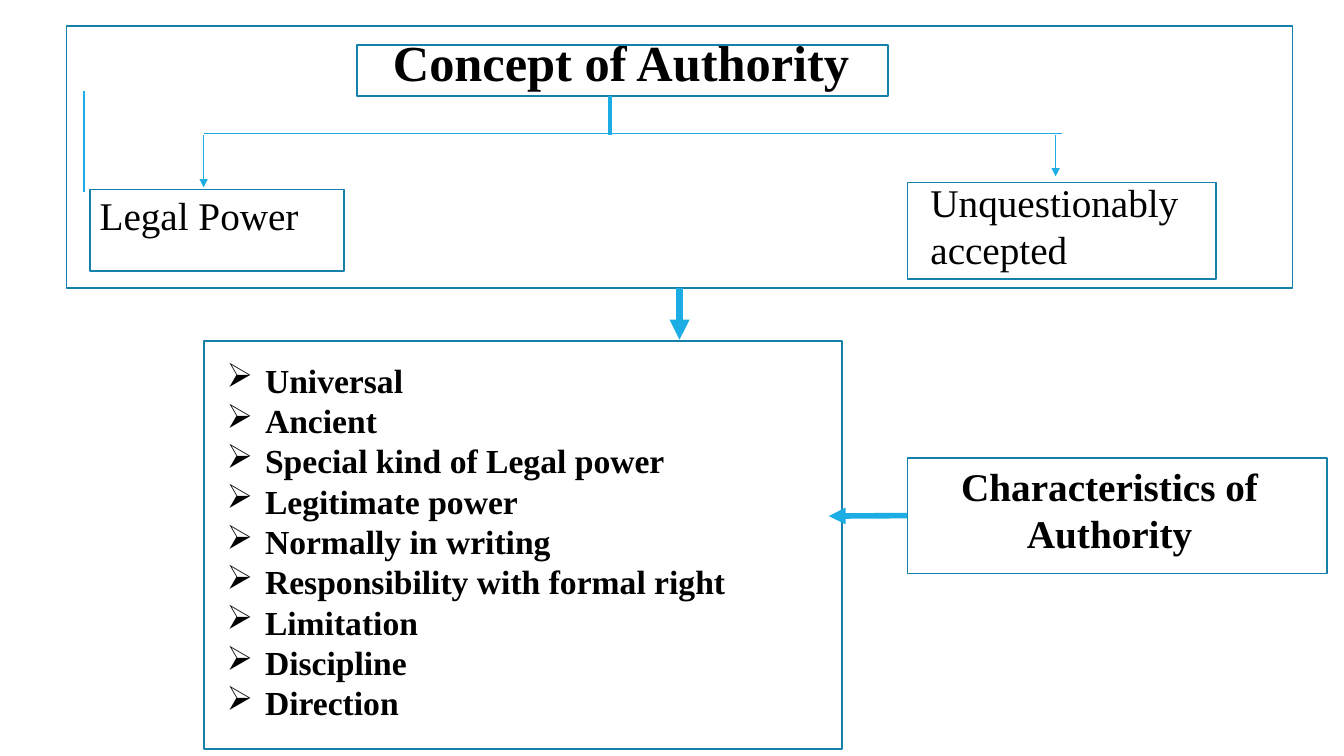
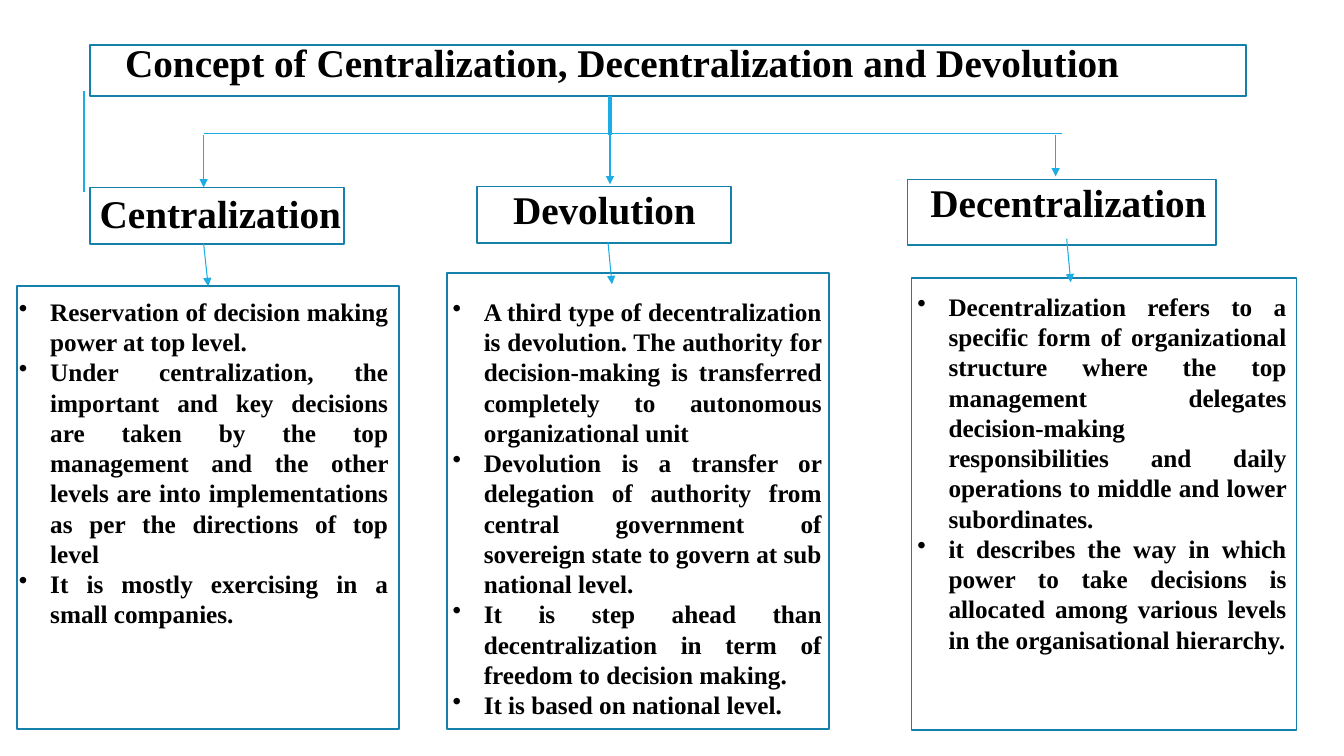
from dataclasses import dataclass

from lxml import etree
from pptx import Presentation, util as u
from pptx.dml.color import RGBColor
from pptx.enum import shapes, text
from pptx.oxml import ns

PX = 9144
SLIDE_WIDTH, SLIDE_HEIGHT = 1333, 750
FONT = "Times New Roman"
INK = RGBColor(0x00, 0x00, 0x00)
SKY = RGBColor(0x1C, 0xAD, 0xE4)
TEAL = RGBColor(0x15, 0x80, 0xA9)
BOTTOM, LEFT, TOP = 2, 1, 0
THIN = 0.75


@dataclass(frozen=True)
class Area:
    left: int
    top: int
    width: int
    height: int

    def emu(self) -> list[int]:
        return [n * PX for n in (self.left, self.top, self.width, self.height)]


@dataclass(frozen=True)
class Style:
    size: int
    bold: bool = True
    align: text.PP_ALIGN = text.PP_ALIGN.LEFT
    bullet: str = ""
    indent: int = 0


@dataclass(frozen=True)
class Caption:
    area: Area
    lines: tuple[str, ...]
    style: Style


@dataclass(frozen=True)
class Line:
    x1: int
    y1: int
    x2: int
    y2: int
    weight: float = THIN
    arrow: bool = True


@dataclass(frozen=True)
class Column:
    heading: Caption
    heading_frame: Area
    details: Caption
    details_frame: Area
    link: Line
    linked_at_top: bool = False


BIG_TITLE = Style(36, align=text.PP_ALIGN.CENTER)
TITLE = Style(28, align=text.PP_ALIGN.CENTER)
HEADING = Style(28)
PLAIN = Style(28, bold=False)
FEATURES = Style(24, bullet="➢", indent=38)
DETAILS = Style(18, align=text.PP_ALIGN.JUSTIFY, bullet="•", indent=31)

MARGIN_RULE = Line(83, 190, 83, 90, 1.5, False)
TREE = (
    Line(605, 95, 605, 134, 3, False),
    Line(202, 132, 1053, 132, THIN, False),
    Line(1047, 134, 1047, 175),
    Line(202, 134, 202, 186),
)

COLUMNS = (
    Column(
        Caption(Area(89, 183, 323, 57), ("Centralization",), HEADING),
        Area(89, 186, 252, 56),
        Caption(Area(9, 289, 386, 343), (
            "Reservation of decision making power at top level.",
            "Under centralization, the important and key decisions are taken by the top "
            "management and the other levels are into implementations as per the "
            "directions of top level",
            "It is mostly exercising in a small companies. ",
        ), DETAILS),
        Area(17, 284, 379, 439),
        Line(202, 242, 206, 284),
        linked_at_top=True,
    ),
    Column(
        Caption(Area(499, 179, 323, 57), ("Devolution",), HEADING),
        Area(473, 185, 252, 56),
        Caption(Area(439, 289, 386, 434), (
            "A third type of decentralization is devolution. The authority for "
            "decision-making is transferred completely to autonomous organizational unit",
            "Devolution is a transfer or delegation of authority from central government "
            "of sovereign state to govern at sub national level.",
            "It is step ahead than decentralization in term of freedom to decision making.",
            "It is based on national level.",
        ), DETAILS),
        Area(443, 271, 379, 452),
        Line(603, 240, 607, 282),
    ),
    Column(
        Caption(Area(913, 172, 323, 57), ("Decentralization",), HEADING),
        Area(900, 178, 306, 65),
        Caption(Area(900, 284, 386, 374), (
            "Decentralization refers to a specific form of organizational "
            "structure where the top management delegates decision-making "
            "responsibilities and daily operations to middle and lower subordinates.",
            "it describes the way in which power to take decisions is allocated among "
            "various levels in the organisational hierarchy.",
        ), DETAILS),
        Area(904, 276, 382, 448),
        Line(1058, 237, 1062, 280),
    ),
)


def draw_frame(slide, area: Area):
    frame = slide.shapes.add_shape(shapes.MSO_SHAPE.RECTANGLE, *area.emu())
    frame.shadow.inherit = False
    frame.fill.background()
    frame.line.color.rgb = TEAL
    frame.line.width = u.Pt(1.25)
    return frame


def draw_line(slide, line: Line):
    ends = [n * PX for n in (line.x1, line.y1, line.x2, line.y2)]
    connector = slide.shapes.add_connector(shapes.MSO_CONNECTOR.STRAIGHT, *ends)
    connector.line.color.rgb = SKY
    connector.line.width = u.Pt(line.weight)
    properties = connector.element.spPr
    if line.arrow:
        stroke = properties.find(ns.qn("a:ln"))
        etree.SubElement(stroke, ns.qn("a:tailEnd"), type="triangle")
    etree.SubElement(properties, ns.qn("a:effectLst"))
    return connector


def add_bullet(paragraph, style: Style) -> None:
    properties = paragraph._p.get_or_add_pPr()
    properties.set("marL", str(style.indent * PX))
    properties.set("indent", str(-style.indent * PX))
    etree.SubElement(properties, ns.qn("a:buChar"), char=style.bullet)


def draw_caption(slide, caption: Caption) -> None:
    style = caption.style
    frame = slide.shapes.add_textbox(*caption.area.emu()).text_frame
    frame.word_wrap = True
    frame.auto_size = text.MSO_AUTO_SIZE.SHAPE_TO_FIT_TEXT
    frame.text = "\n".join(caption.lines)
    for paragraph in frame.paragraphs:
        paragraph.alignment = style.align
        if style.bullet:
            add_bullet(paragraph, style)
        for run in paragraph.runs:
            run.font.name = FONT
            run.font.size = u.Pt(style.size)
            run.font.bold = style.bold
            run.font.color.rgb = INK


def start_slide(deck, title: Caption, title_frame: Area):
    slide = deck.slides.add_slide(deck.slide_layouts[6])
    draw_line(slide, MARGIN_RULE)
    draw_caption(slide, title)
    draw_frame(slide, title_frame)
    for branch in TREE:
        draw_line(slide, branch)
    return slide


def build_authority(deck) -> None:
    title = Caption(Area(35, 26, 1162, 71), ("Concept of Authority",), BIG_TITLE)
    slide = start_slide(deck, title, Area(354, 45, 527, 50))
    for caption in (
        Caption(Area(89, 185, 323, 57), ("Legal Power",), PLAIN),
        Caption(Area(913, 172, 323, 104), ("Unquestionably accepted",), PLAIN),
        Caption(Area(215, 352, 1021, 434), (
            "Universal",
            "Ancient",
            "Special kind of Legal power",
            "Legitimate power",
            "Normally in writing",
            "Responsibility with formal right",
            "Limitation",
            "Discipline",
            "Direction",
        ), FEATURES),
        Caption(Area(900, 454, 401, 104), ("Characteristics of Authority",), TITLE),
    ):
        draw_caption(slide, caption)
    for area in (
        Area(89, 188, 252, 81),
        Area(900, 181, 306, 96),
        Area(202, 338, 633, 405),
    ):
        draw_frame(slide, area)
    concept = draw_frame(slide, Area(66, 26, 1216, 260))
    characteristics = draw_frame(slide, Area(900, 454, 416, 115))
    down = draw_line(slide, Line(674, 286, 674, 337, 4.75))
    down.begin_connect(concept, BOTTOM)
    across = draw_line(slide, Line(900, 512, 822, 512, 4))
    across.begin_connect(characteristics, LEFT)


def build_centralization(deck) -> None:
    title = Caption(
        Area(36, 33, 1162, 57),
        ("Concept of Centralization, Decentralization and Devolution",),
        TITLE,
    )
    slide = start_slide(deck, title, Area(89, 45, 1147, 50))
    draw_line(slide, Line(605, 131, 605, 183))
    for column in COLUMNS:
        draw_caption(slide, column.heading)
        draw_frame(slide, column.heading_frame)
        draw_caption(slide, column.details)
        details_frame = draw_frame(slide, column.details_frame)
        link = draw_line(slide, column.link)
        if column.linked_at_top:
            link.end_connect(details_frame, TOP)


def main() -> None:
    deck = Presentation()
    deck.slide_width = SLIDE_WIDTH * PX
    deck.slide_height = SLIDE_HEIGHT * PX
    build_authority(deck)
    build_centralization(deck)
    deck.save("out.pptx")


if __name__ == "__main__":
    main()
